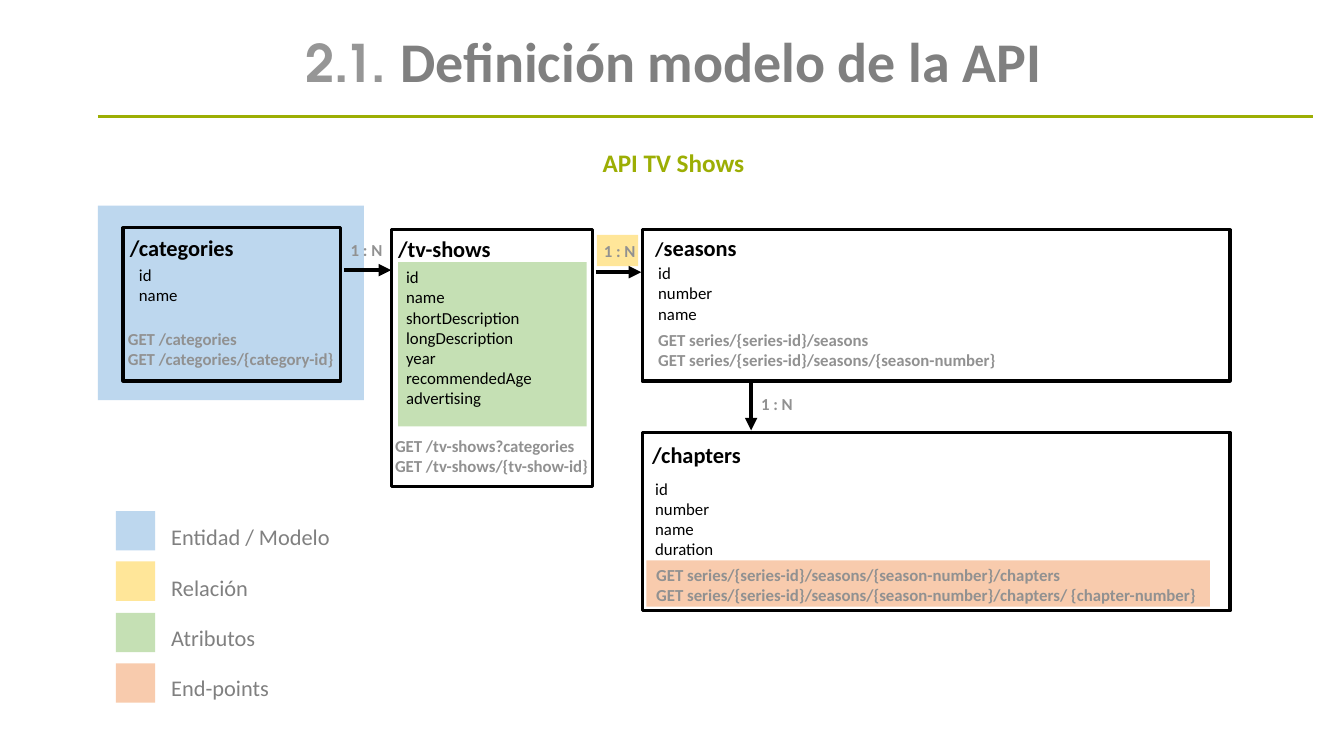
from lxml.etree import SubElement
from pptx import Presentation
from pptx.dml.color import RGBColor as RGB
from pptx.enum.shapes import MSO_CONNECTOR as LINE, MSO_SHAPE as SHAPE
from pptx.enum.text import MSO_ANCHOR as ANCHOR, PP_ALIGN as ALIGN
from pptx.oxml.ns import qn
from pptx.util import Pt

PX = 9144  # 100 px to the inch
BLACK = RGB(0x00, 0x00, 0x00)
GRAY = RGB(0x80, 0x80, 0x80)
SILVER = RGB(0x96, 0x96, 0x96)
ASH = RGB(0x91, 0x91, 0x91)
LIME = RGB(0x9C, 0xAE, 0x04)
BLUE = RGB(0xBD, 0xD7, 0xEE)
YELLOW = RGB(0xFF, 0xE6, 0x99)
GREEN = RGB(0xC5, 0xE0, 0xB4)
PEACH = RGB(0xF8, 0xCB, 0xAD)

deck = Presentation()
deck.slide_width, deck.slide_height = 1333 * PX, 750 * PX
slide = deck.slides.add_slide(deck.slide_layouts[5])
shapes = slide.shapes


def write(where, text, size=12, color=BLACK, bold=False, font="Calibri",
          align=ALIGN.LEFT, space=1.0):
    """Add text to a frame, or to a new text box at (x, y, w, h); return the frame."""
    frame = where
    if isinstance(where, tuple):
        frame = shapes.add_textbox(*(n * PX for n in where)).text_frame
        frame.word_wrap = True
    for i, line in enumerate(text.split("\n")):
        para = frame.add_paragraph() if i else frame.paragraphs[-1]
        para.alignment, para.line_spacing = align, space
        run = para.add_run()
        run.text = line
        run.font.name, run.font.size, run.font.bold = font, Pt(size), bold
        run.font.color.rgb = color
    return frame


def link(x1, y1, x2, y2, color=BLACK, width=3.0, arrow=True):
    line = shapes.add_connector(LINE.STRAIGHT, *(n * PX for n in (x1, y1, x2, y2)))
    line.line.color.rgb, line.line.width = color, Pt(width)
    props = line._element.spPr
    if arrow:
        SubElement(props.find(qn("a:ln")), qn("a:tailEnd"), type="triangle")
    SubElement(props, qn("a:effectLst"))


# Heading
title = shapes.title
title.left, title.top, title.width, title.height = (n * PX for n in (97, 22, 1142, 84))
head = title.text_frame
head.vertical_anchor = ANCHOR.MIDDLE
write(head, "2.1. ", size=37, color=SILVER, bold=True, font="TeX Gyre Adventor",
      align=ALIGN.CENTER, space=0.9)
write(head, "Definición modelo de la API", size=40, color=GRAY, bold=True,
      align=ALIGN.CENTER, space=0.9)
link(97, 116, 1302, 116, color=LIME, width=2.25, arrow=False)
sub = write((435, 141, 466, 40), "API TV Shows", size=18, color=LIME, bold=True,
            align=ALIGN.CENTER)
sub.vertical_anchor = ANCHOR.MIDDLE

# Legend
legend = [
    ("Entidad / Modelo", BLUE),
    ("Relación", YELLOW),
    ("Atributos", GREEN),
    ("End-points", PEACH),
]
marks = [
    (97, 204, 264, 193, BLUE),
    (592, 233, 41, 31, YELLOW),
    (395, 260, 187, 163, GREEN),
    (641, 556, 559, 46, PEACH),
]
for i, (label, color) in enumerate(legend):
    marks.append((115, 507 + i * 101 // 2, 39, 39, color))
    write((160, 501 + i * 50, 222, 50), label, size=16, color=GRAY,
          align=ALIGN.JUSTIFY, space=1.5)

# Highlights, then the entity frames over them
frames = [
    (122, 226, 216, 152, None),
    (388, 228, 200, 255, None),
    (637, 228, 583, 150, None),
    (637, 429, 583, 177, None),
]
for *spot, color in marks + frames:
    rect = shapes.add_shape(SHAPE.RECTANGLE, *(n * PX for n in spot))
    rect.shadow.inherit = False
    if color:
        rect.fill.solid()
        rect.fill.fore_color.rgb = color
        rect.line.fill.background()
    else:
        rect.fill.background()
        rect.line.color.rgb, rect.line.width = BLACK, Pt(2.25)

# Entities: name, slash size, attributes, end-points, each with its place
models = [
    ("categories", 16, (119, 227, 172, 37),
     "id\nname", (128, 258, 150, 50),
     "GET /categories\nGET /categories/{category-id}", (117, 321, 227, 50)),
    ("tv-shows", 16, (385, 228, 172, 37),
     "id\nname\nshortDescription\nlongDescription\nyear\nrecommendedAge\nadvertising",
     (393, 260, 150, 172),
     "GET /tv-shows?categories\nGET /tv-shows/{tv-show-id}", (382, 427, 217, 50)),
    ("seasons", 14, (640, 227, 399, 37),
     "id\nnumber\nname", (643, 256, 156, 71),
     "GET series/{series-id}/seasons\n"
     "GET series/{series-id}/seasons/{season-number}", (643, 322, 454, 50)),
    ("chapters", 16, (637, 433, 436, 37),
     "id\nnumber\nname\nduration", (640, 470, 443, 91),
     "GET series/{series-id}/seasons/{season-number}/chapters\n"
     "GET series/{series-id}/seasons/{season-number}/chapters/ {chapter-number}",
     (641, 555, 560, 50)),
]
for name, slash, top, fields, mid, calls, low in models:
    frame = write(top, "/", size=slash, bold=True)
    write(frame, name, size=16, bold=True)
    write(mid, fields)
    write(low, calls, color=ASH, bold=True)

# Relations: arrow ends and label corner
for ends, (x, y) in [
    ((341, 268, 388, 268), (338, 233)),
    ((591, 270, 636, 270), (589, 234)),
    ((745, 378, 745, 427), (745, 386)),
]:
    link(*ends)
    write((x, y, 73, 30), "1 : N", color=ASH, bold=True)

deck.save("out.pptx")
